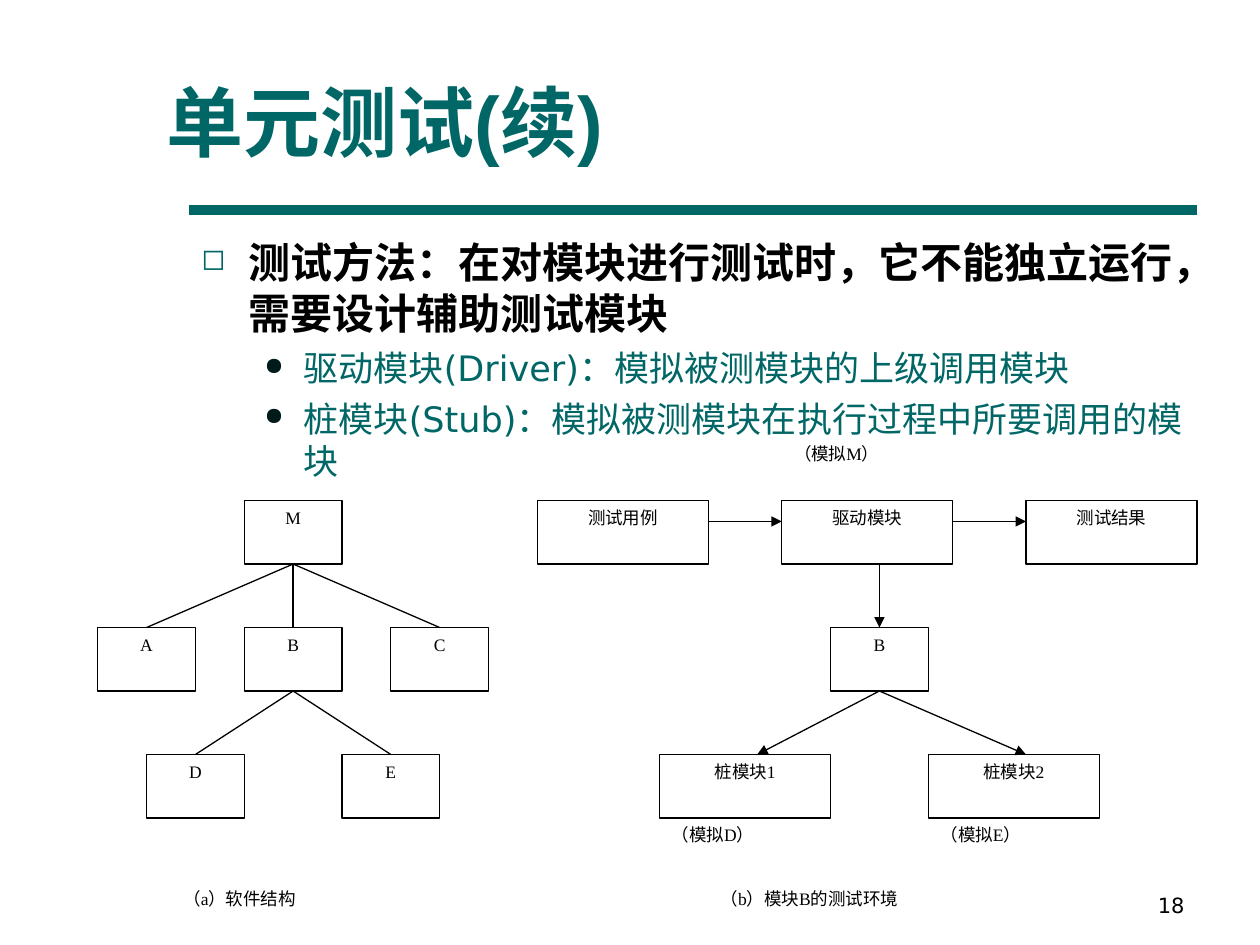
import pptx
import pptx.dml.color
import pptx.enum.shapes
import pptx.enum.text
import pptx.oxml.ns
import pptx.util
from lxml import etree
from pptx.util import Cm

TEAL = pptx.dml.color.RGBColor(0x00, 0x66, 0x66)
DARK_TEAL = pptx.dml.color.RGBColor(0x00, 0x1B, 0x1A)
BLACK = pptx.dml.color.RGBColor(0x00, 0x00, 0x00)
WHITE = pptx.dml.color.RGBColor(0xFF, 0xFF, 0xFF)

ALIGN = pptx.enum.text.PP_ALIGN
ANCHOR = pptx.enum.text.MSO_ANCHOR
TOP, BOTTOM = 0, 2

# Diagram grid, in centimetres: 24.5 columns reach the right margin
COLUMN = 24.13 / 24.5
ROW = 1.28
NARROW, WIDE = 2, 3.5


def add_child(parent, tag, **attributes):
    return etree.SubElement(parent, pptx.oxml.ns.qn(tag), **attributes)


def style_paragraph(paragraph, text, font_name, size, color, bold=False):
    paragraph.add_run().text = text
    font = paragraph.font
    font.name = font_name
    font.size = pptx.util.Pt(size)
    font.color.rgb = color
    font.bold = bold


def add_text_frame(slide, left, top, width, height, anchor):
    box = slide.shapes.add_textbox(Cm(left), Cm(top), Cm(width), Cm(height))
    box.text_frame.word_wrap = True
    box.text_frame.vertical_anchor = anchor
    return box.text_frame


def add_line(slide, start, end, color=BLACK, weight=0.75, arrow=False):
    """Draw a line between two points given in centimetres."""
    line = slide.shapes.add_connector(
        pptx.enum.shapes.MSO_CONNECTOR.STRAIGHT,
        Cm(start[0]), Cm(start[1]), Cm(end[0]), Cm(end[1]))
    line.line.color.rgb = color
    line.line.width = pptx.util.Pt(weight)
    if arrow:
        add_child(line.line._get_or_add_ln(), "a:tailEnd", type="triangle")
    add_child(line._element.spPr, "a:effectLst")
    return line


def add_title(slide, left, top, width, height):
    frame = add_text_frame(slide, left, top, width, height, ANCHOR.BOTTOM)
    style_paragraph(frame.paragraphs[0], "单元测试(续)", "Arial", 44, TEAL, True)


def add_bullet(paragraph, character, color, margin, indent):
    properties = paragraph._p.get_or_add_pPr()
    properties.set("marL", str(Cm(margin)))
    properties.set("indent", str(Cm(indent)))
    bullet_color = add_child(properties, "a:buClr")
    add_child(bullet_color, "a:srgbClr", val=str(color))
    add_child(properties, "a:buSzPct", val="70000")
    add_child(properties, "a:buChar", char=character)


def add_body(slide, left, top, width, height):
    frame = add_text_frame(slide, left, top, width, height, ANCHOR.TOP)
    paragraph = frame.paragraphs[0]
    add_bullet(paragraph, "◻", TEAL, 0.95, -0.95)
    style_paragraph(
        paragraph,
        "测试方法：在对模块进行测试时，它不能独立运行，需要设计辅助测试模块",
        "DejaVu Sans", 24, BLACK, True)
    for text in ("驱动模块(Driver)：模拟被测模块的上级调用模块",
                 "桩模块(Stub)：模拟被测模块在执行过程中所要调用的模块"):
        paragraph = frame.add_paragraph()
        paragraph.level = 1
        paragraph.space_before = pptx.util.Pt(5)
        add_bullet(paragraph, "●", DARK_TEAL, 2.06, -0.79)
        style_paragraph(paragraph, text, "DejaVu Sans", 20, TEAL)


def add_slide_number(slide, left, top, width, height):
    frame = add_text_frame(slide, left, top, width, height, ANCHOR.BOTTOM)
    frame.paragraphs[0].alignment = ALIGN.RIGHT
    style_paragraph(frame.paragraphs[0], "18", "DejaVu Sans", 12, BLACK)


def grid_point(left, top, column, row):
    return left + column * COLUMN, top + row * ROW


def add_box(slide, left, top, text, column, row, columns, outlined=True):
    """Place a module box, or an unlined label, on the diagram grid."""
    x, y = grid_point(left, top, column, row)
    box = slide.shapes.add_shape(
        pptx.enum.shapes.MSO_SHAPE.RECTANGLE,
        Cm(x), Cm(y), Cm(columns * COLUMN), Cm(ROW))
    box.shadow.inherit = False
    box.fill.solid()
    box.fill.fore_color.rgb = WHITE
    if outlined:
        box.line.color.rgb = BLACK
        box.line.width = pptx.util.Pt(0.75)
    else:
        box.line.fill.background()
    box.text_frame.word_wrap = True
    box.text_frame.vertical_anchor = ANCHOR.TOP
    paragraph = box.text_frame.paragraphs[0]
    paragraph.alignment = ALIGN.CENTER if outlined else ALIGN.JUSTIFY
    style_paragraph(paragraph, text, "Times New Roman", 10, BLACK)
    return box


def add_structure_diagram(slide, left, top):
    modules = {
        name: add_box(slide, left, top, name, column, row, NARROW)
        for name, column, row in (("M", 3, 1), ("A", 0, 3), ("B", 3, 3),
                                  ("C", 6, 3), ("D", 1, 5), ("E", 5, 5))}
    for parent, child in ("MA", "MB", "MC", "BD", "BE"):
        line = add_line(slide, (left, top), (left, top))
        line.begin_connect(modules[parent], BOTTOM)
        line.end_connect(modules[child], TOP)
    add_box(slide, left, top, "（a）软件结构", 1.5, 7, 5, outlined=False)


def add_environment_diagram(slide, left, top):
    # Labels naming the simulated modules
    for text, column, row in (("（模拟M）", 5, 0), ("（模拟D）", 2.5, 6),
                              ("（模拟E）", 8, 6)):
        add_box(slide, left, top, text, column, row, 4, outlined=False)

    # Modules
    for text, column, row in (("测试用例", 0, 1), ("驱动模块", 5, 1),
                              ("测试结果", 10, 1), ("桩模块1", 2.5, 5),
                              ("桩模块2", 8, 5)):
        add_box(slide, left, top, text, column, row, WIDE)
    tested = add_box(slide, left, top, "B", 6, 3, NARROW)

    # Data flow through the driver
    for column in (WIDE, 5 + WIDE):
        add_line(slide, grid_point(left, top, column, 1.33),
                 grid_point(left, top, column + 1.5, 1.33), arrow=True)

    # Calls into and out of the tested module
    below_tested = grid_point(left, top, 7, 4)
    call = add_line(slide, grid_point(left, top, 7, 2),
                    grid_point(left, top, 7, 3), arrow=True)
    call.end_connect(tested, TOP)
    for column in (4.5, 10):
        call = add_line(slide, below_tested,
                        grid_point(left, top, column, 5), arrow=True)
        call.begin_connect(tested, BOTTOM)
    add_box(slide, left, top, "（b）模块B的测试环境", 3.5, 7, 7, outlined=False)


def main():
    presentation = pptx.Presentation()
    presentation.slide_width = Cm(25.4)
    presentation.slide_height = Cm(19.05)
    slide = presentation.slides.add_slide(presentation.slide_layouts[6])

    add_line(slide, (3.81, 4.23), (24.13, 4.23), TEAL, 6)
    add_slide_number(slide, 18.21, 17.35, 5.92, 1.27)
    add_title(slide, 3.1, 0.3, 21.59, 3.18)
    add_body(slide, 3.81, 4.65, 20.32, 11.43)
    add_structure_diagram(slide, 2 * COLUMN, 8.81)
    add_environment_diagram(slide, 11 * COLUMN, 8.81)
    presentation.save("out.pptx")


if __name__ == "__main__":
    main()
